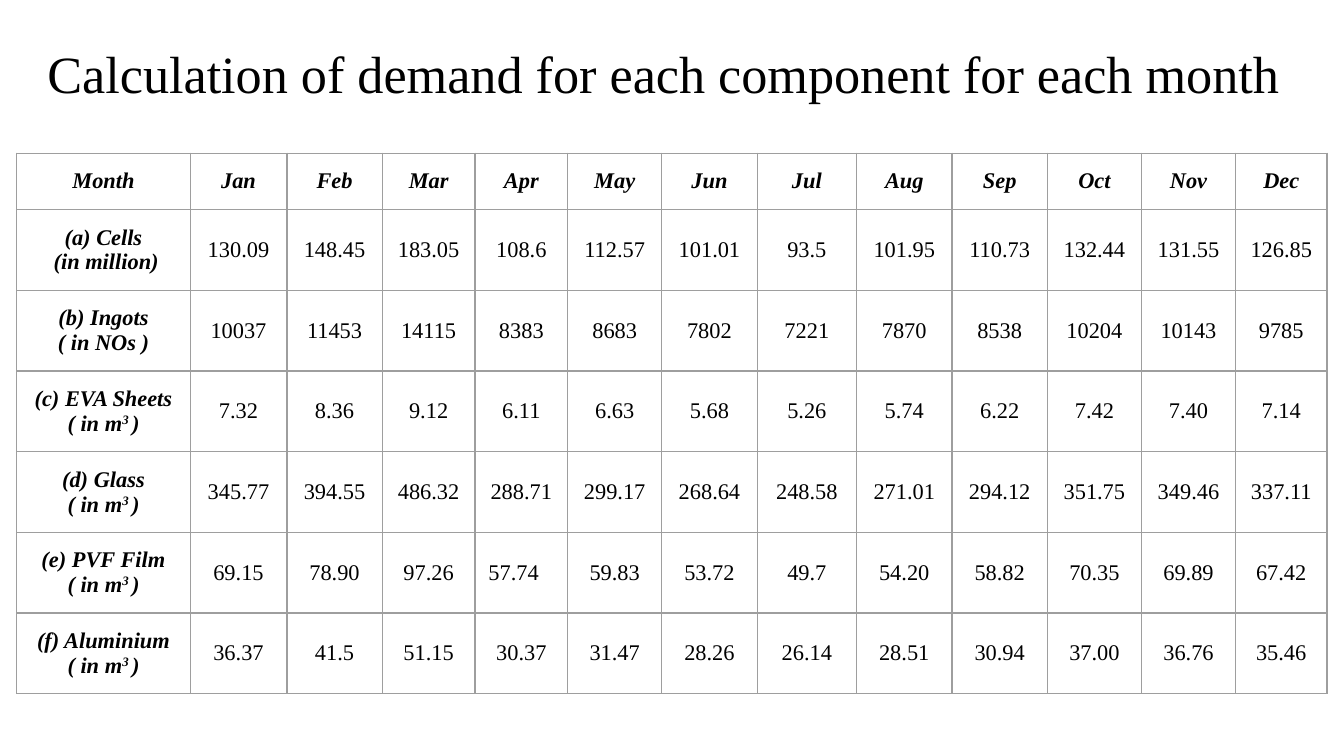
from dataclasses import dataclass

from lxml import etree
from pptx import Presentation
from pptx import util as u
from pptx.dml.color import RGBColor
from pptx.enum import text
from pptx.oxml.ns import qn


@dataclass(frozen=True)
class Theme:
    font: str = "Times New Roman"
    ink: str = "000000"
    border: str = "9E9E9E"
    border_width: float = 0.75
    title_size: int = 28
    table_size: int = 12
    superscript: int = 30


THEME = Theme()
SLIDE_WIDTH = u.Inches(10)
SLIDE_HEIGHT = SLIDE_WIDTH * 9 // 16
MARGIN = u.Inches(0.1)

TITLE = "Calculation of demand for each component for each month"
MONTHS = "Jan Feb Mar Apr May Jun Jul Aug Sep Oct Nov Dec".split()
COLUMN_WIDTHS = [1.29, 0.72, 0.71, 0.69, 0.69, 0.7, 0.71,
                 0.74, 0.71, 0.71, 0.7, 0.7, 0.68]
ROW_HEIGHT = 0.42

# A caret marks the start and end of superscript text.
CUBIC_METRES = "( in m^3 ^)"
COMPONENTS = [
    ("(a) Cells", " (in million)",
     "130.09 148.45 183.05 108.6 112.57 101.01 93.5 101.95 110.73 132.44 131.55 126.85"),
    ("(b) Ingots", "( in NOs )",
     "10037 11453 14115 8383 8683 7802 7221 7870 8538 10204 10143 9785"),
    ("(c) EVA Sheets", CUBIC_METRES,
     "7.32 8.36 9.12 6.11 6.63 5.68 5.26 5.74 6.22 7.42 7.40 7.14"),
    ("(d) Glass", CUBIC_METRES,
     "345.77 394.55 486.32 288.71 299.17 268.64 248.58 271.01 294.12 351.75 349.46 337.11"),
    ("(e) PVF Film", CUBIC_METRES,
     "69.15 78.90 97.26 57.74 59.83 53.72 49.7 54.20 58.82 70.35 69.89 67.42"),
    ("(f) Aluminium", CUBIC_METRES,
     "36.37 41.5 51.15 30.37 31.47 28.26 26.14 28.51 30.94 37.00 36.76 35.46"),
]
LEFT_ALIGNED = {(5, 4)}


def style_run(run, size, emphasis=False):
    font = run.font
    font.name = THEME.font
    font.size = u.Pt(size)
    font.bold = font.italic = emphasis
    font.color.rgb = RGBColor.from_string(THEME.ink)


def add_title(slide):
    box = slide.shapes.add_textbox(
        int(SLIDE_WIDTH * 0.0255), int(SLIDE_HEIGHT * 0.0365),
        int(SLIDE_WIDTH * 0.94), int(SLIDE_HEIGHT * 0.112))
    frame = box.text_frame
    frame.word_wrap = True
    frame.margin_left = frame.margin_right = frame.margin_top = frame.margin_bottom = MARGIN
    frame.text = TITLE
    style_run(frame.paragraphs[0].runs[0], THEME.title_size)


def set_borders(cell):
    properties = cell._tc.get_or_add_tcPr()
    for side in ("lnL", "lnR", "lnT", "lnB"):
        line = etree.SubElement(properties, qn(f"a:{side}"), w=str(u.Pt(THEME.border_width)))
        fill = etree.SubElement(line, qn("a:solidFill"))
        etree.SubElement(fill, qn("a:srgbClr"), val=THEME.border)


def write_line(paragraph, line, emphasis):
    """Write one line, raising the parts between carets."""
    for index, part in enumerate(line.split("^")):
        run = paragraph.add_run()
        run.text = part
        style_run(run, THEME.table_size, emphasis)
        if index % 2:
            run._r.get_or_add_rPr().set("baseline", str(THEME.superscript * 1000))
    end = etree.SubElement(paragraph._p, qn("a:endParaRPr"), sz=str(THEME.table_size * 100))
    etree.SubElement(end, qn("a:latin"), typeface=THEME.font)


def fill_cell(cell, lines, emphasis, alignment):
    set_borders(cell)
    cell.fill.background()
    cell.vertical_anchor = text.MSO_ANCHOR.MIDDLE
    cell.margin_left = cell.margin_right = cell.margin_top = cell.margin_bottom = MARGIN
    frame = cell.text_frame
    for index, line in enumerate(lines):
        paragraph = frame.add_paragraph() if index else frame.paragraphs[0]
        paragraph.alignment = alignment
        paragraph.line_spacing = 1.0
        paragraph.space_before = paragraph.space_after = u.Pt(0)
        write_line(paragraph, line, emphasis)


def add_demand_table(slide):
    rows = [[["Month"]] + [[month] for month in MONTHS]]
    for name, unit, values in COMPONENTS:
        rows.append([[name, unit]] + [[value] for value in values.split()])

    table = slide.shapes.add_table(
        len(rows), len(COLUMN_WIDTHS), SLIDE_WIDTH // 80, u.Inches(1.14),
        u.Inches(sum(COLUMN_WIDTHS)), u.Inches(ROW_HEIGHT * len(rows))).table
    table.first_row = table.horz_banding = False
    for column, width in zip(table.columns, COLUMN_WIDTHS):
        column.width = u.Inches(width)

    for row_index, row in enumerate(rows):
        for column_index, lines in enumerate(row):
            position = (row_index, column_index)
            left = position in LEFT_ALIGNED
            fill_cell(table.cell(*position), lines, emphasis=0 in position,
                      alignment=text.PP_ALIGN.LEFT if left else text.PP_ALIGN.CENTER)


def main():
    presentation = Presentation()
    presentation.slide_width, presentation.slide_height = SLIDE_WIDTH, SLIDE_HEIGHT
    slide = presentation.slides.add_slide(presentation.slide_layouts[6])
    add_title(slide)
    add_demand_table(slide)
    presentation.save("out.pptx")


if __name__ == "__main__":
    main()
